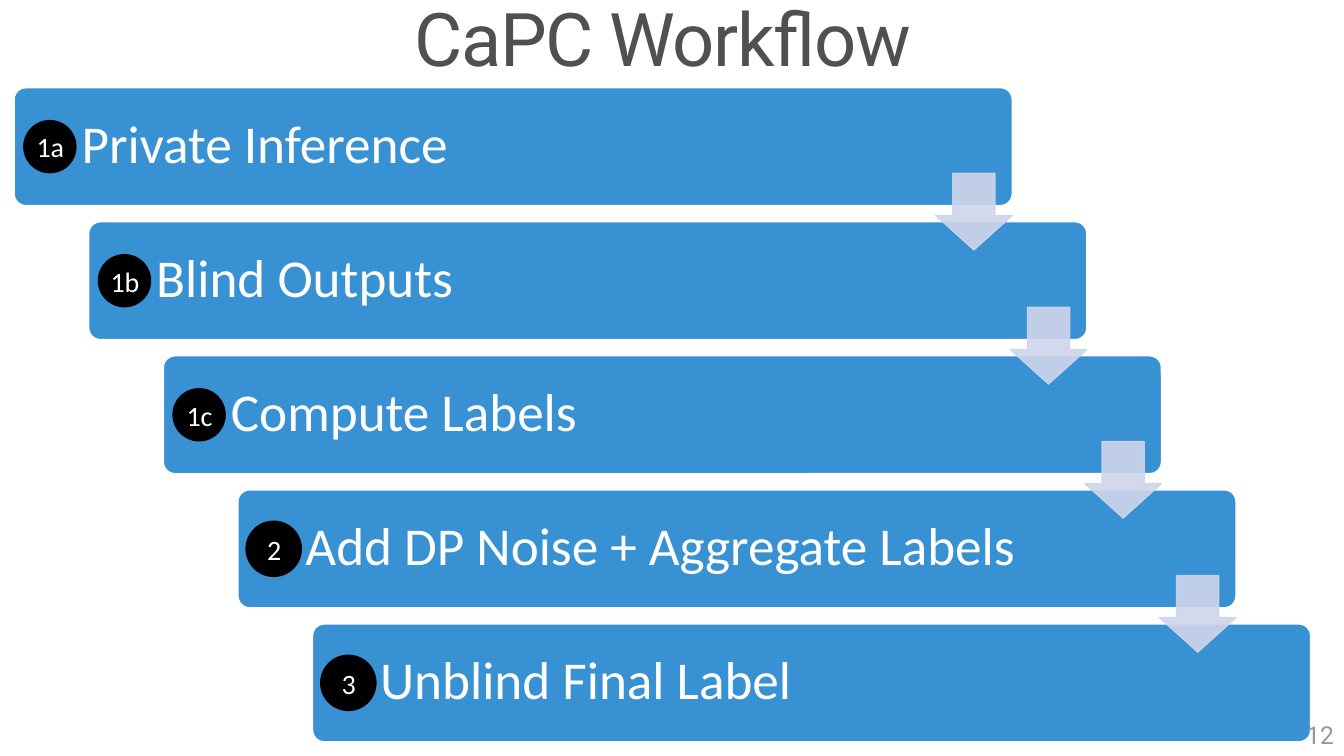
import pptx
import pptx.util
import pptx.dml.color
import pptx.enum.shapes
import pptx.enum.text
import pptx.oxml.ns
import lxml.etree

WIDE, HIGH = 13.33, 7.5
COL, ROW = 0.74, 1.33  # each step moves one column right and one row down
BAR = (9.9, 1.17)
SIDE = 0.76  # arrow
DOT = 0.53  # badge
KIND = pptx.enum.shapes.MSO_SHAPE
SIDES = pptx.enum.text.PP_ALIGN
ANCHOR = pptx.enum.text.MSO_ANCHOR
STEPS = [
    ("1a", "Private Inference"),
    ("1b", "Blind Outputs"),
    ("1c", "Compute Labels"),
    ("2", "Add DP Noise + Aggregate Labels"),
    ("3", "Unblind Final Label"),
]


def paint(color, code, alpha=None):
    """Set a fill or line colour, with an optional opacity in percent."""
    color.rgb = pptx.dml.color.RGBColor.from_string(code)


def fade(shape, share):
    """Make fill and line partly transparent."""
    tag = pptx.oxml.ns.qn("a:srgbClr")
    for node in shape.element.spPr.iter(tag):
        alpha = lxml.etree.SubElement(node, pptx.oxml.ns.qn("a:alpha"))
        alpha.set("val", str(share * 1000))


def draw(slide, kind, box, fill, line=None, width=1, adjust=()):
    shape = slide.shapes.add_shape(kind, *map(pptx.util.Inches, box))
    shape.shadow.inherit = False
    shape.fill.solid()
    paint(shape.fill.fore_color, fill)
    if line:
        paint(shape.line.color, line)
        shape.line.width = pptx.util.Pt(width)
    else:
        shape.line.fill.background()
    for i, value in enumerate(adjust):
        shape.adjustments[i] = value
    return shape


def write(slide, box, text, size, font, code, align=SIDES.LEFT,
          anchor=ANCHOR.TOP, inset=(0.1, 0.05, 0.1, 0.05), lead=1.0):
    """Place one line of text; inset is left, top, right, bottom."""
    frame = slide.shapes.add_textbox(*map(pptx.util.Inches, box)).text_frame
    frame.word_wrap = True
    frame.vertical_anchor = anchor
    (frame.margin_left, frame.margin_top,
     frame.margin_right, frame.margin_bottom) = map(pptx.util.Inches, inset)
    par = frame.paragraphs[0]
    par.alignment = align
    par.line_spacing = lead
    run = par.add_run()
    run.text = text
    run.font.size = pptx.util.Pt(size)
    run.font.name = font
    paint(run.font.color, code)
    return run


def head(slide, box):
    run = write(slide, box, "CaPC Workflow", 52.9, "Roboto", "505050",
                SIDES.CENTER, inset=(0.1, 0.05, 0.28, 0.05), lead=0.9)
    run.font._element.set("spc", "-100")


def bar(slide, box, label):
    x, y, w, h = box
    draw(slide, KIND.ROUNDED_RECTANGLE, box, "3891D3", "FFFFFF", adjust=[0.1])
    # The left inset leaves room for the badge
    write(slide, (x + 0.03, y + 0.03, w - 1.5, h - 0.07), label, 38, "Calibri",
          "FFFFFF", anchor=ANCHOR.MIDDLE, inset=(0.64, 0.16, 0.16, 0.16),
          lead=0.9)


def arrow(slide, box):
    x, y, w, h = box
    place = (x + w - SIDE, y + 0.85, SIDE, SIDE)
    shape = draw(slide, KIND.DOWN_ARROW, place, "CFD5EA", "CFD5EA",
                 adjust=[0.45, 0.55])
    shape.adjustments[0], shape.adjustments[1] = 0.55, 0.45
    fade(shape, 90)


def badge(slide, box, mark):
    x, y = box[0] + 0.09, box[1] + (box[3] - DOT) / 2
    edge = "000000" if len(mark) == 1 else None
    draw(slide, KIND.OVAL, (x, y, DOT, DOT), "000000", edge, 2.25)
    write(slide, (x + 0.02, y + 0.05, 0.5, 0.44), mark, 20, "Calibri",
          "FFFFFF", SIDES.CENTER, inset=(0, 0.05, 0, 0.05))


def flow(slide, left, top):
    boxes = [(left + i * COL, top + i * ROW, *BAR) for i in range(len(STEPS))]
    for box, (mark, label) in zip(boxes, STEPS):
        bar(slide, box, label)
    for box in boxes[:-1]:
        arrow(slide, box)
    for box, (mark, label) in zip(boxes, STEPS):
        badge(slide, box, mark)


def foot(slide, box):
    write(slide, box, "12", 17.6, "Roboto", "989898", SIDES.RIGHT,
          ANCHOR.MIDDLE)


def main():
    deck = pptx.Presentation()
    deck.slide_width = pptx.util.Inches(WIDE)
    deck.slide_height = pptx.util.Inches(HIGH)
    slide = deck.slides.add_slide(deck.slide_layouts[6])
    head(slide, (0, -0.02, WIDE, 0.96))
    flow(slide, 0.14, 0.87)
    foot(slide, (WIDE - 3, 7.09, 3, 0.4))
    deck.save("out.pptx")


if __name__ == "__main__":
    main()
